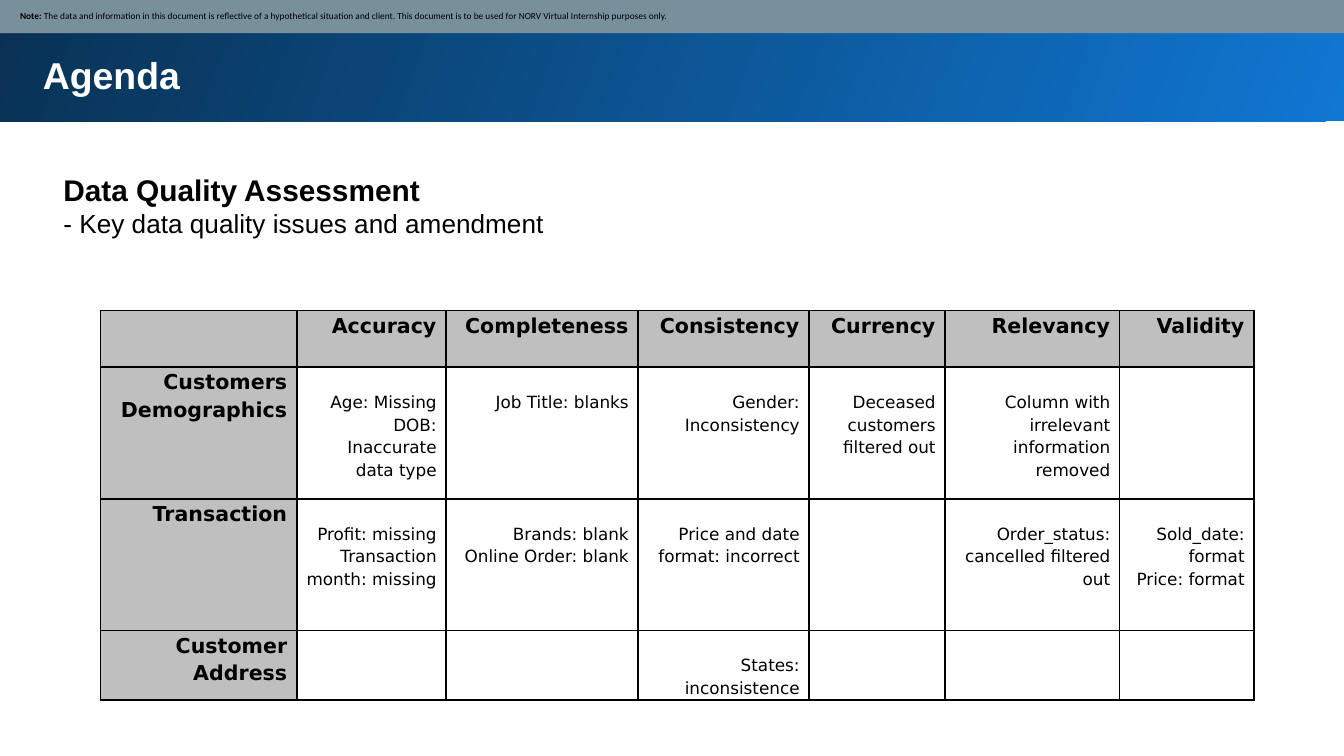
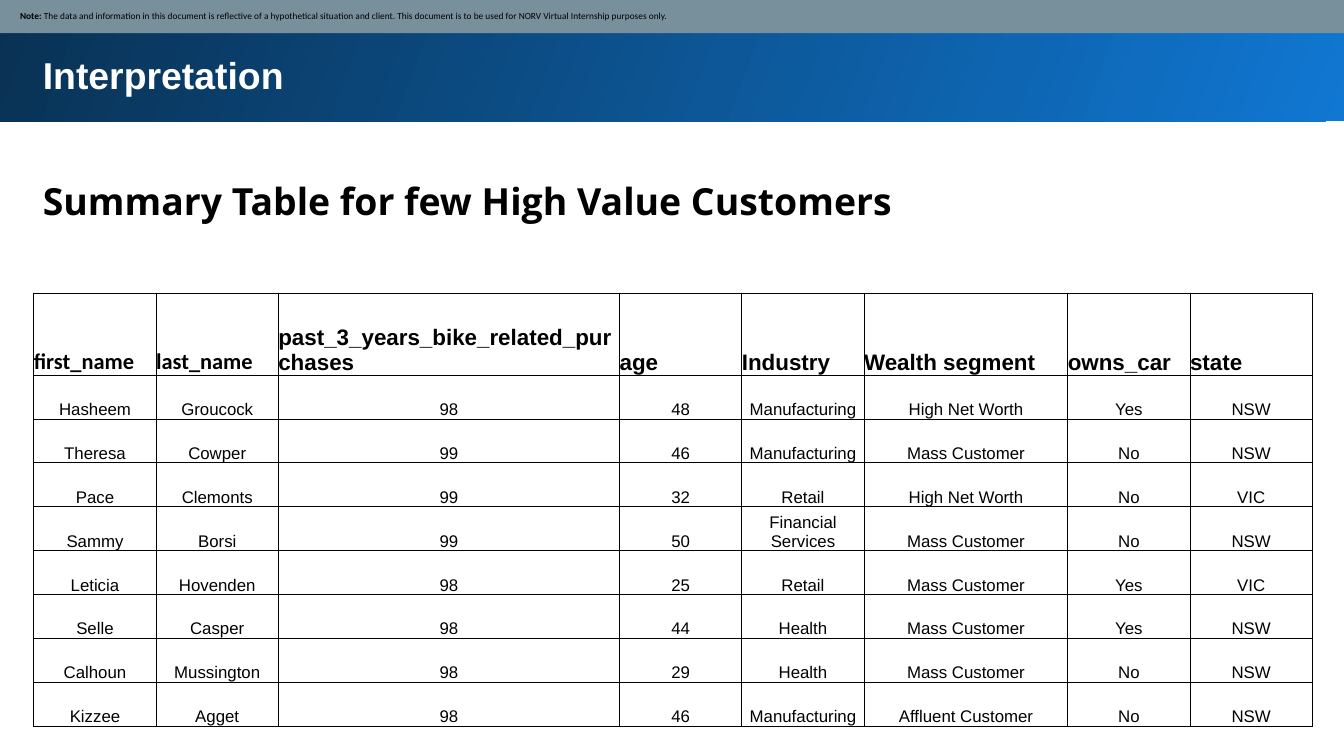
from lxml import etree
from pptx import Presentation
from pptx.dml.color import RGBColor
from pptx.enum.shapes import MSO_SHAPE
from pptx.enum.text import MSO_ANCHOR, MSO_AUTO_SIZE, PP_ALIGN
from pptx.oxml.ns import qn
from pptx.util import Cm, Pt

RECTANGLE = MSO_SHAPE.RECTANGLE
TOP, MIDDLE, BOTTOM = MSO_ANCHOR.TOP, MSO_ANCHOR.MIDDLE, MSO_ANCHOR.BOTTOM
LEFT, CENTER, RIGHT = PP_ALIGN.LEFT, PP_ALIGN.CENTER, PP_ALIGN.RIGHT
GROW = MSO_AUTO_SIZE.SHAPE_TO_FIT_TEXT
TITLE_ONLY = 5

COLORS = {
    "black": "000000",
    "white": "FFFFFF",
    "bright": "1077D2",
    "navy": "093153",
    "slate": "78909C",
    "header": "BFBFBF",
}

NOTE = [
    ("Note: ", True),
    ("The data and information in this document is reflective of a hypothetical "
     "situation and client. This document is to be used for NORV Virtual "
     "Internship purposes only.", False),
]

# One list of lines per cell
QUALITY_HEADER = ["", "Accuracy", "Completeness", "Consistency", "Currency",
                  "Relevancy", "Validity"]
QUALITY_ROWS = [
    ("Customers Demographics",
     ["Age: Missing", "DOB: Inaccurate data type"],
     ["Job Title: blanks"],
     ["Gender: Inconsistency"],
     ["Deceased customers filtered out"],
     ["Column with irrelevant information removed"],
     []),
    ("Transaction",
     ["Profit: missing", "Transaction month: missing"],
     ["Brands: blank", "Online Order: blank"],
     ["Price and date format: incorrect"],
     [],
     ["Order_status: cancelled filtered out"],
     ["Sold_date: format", "Price: format"]),
    ("Customer Address", [], [], ["States: inconsistence"], [], [], []),
]

CUSTOMER_HEADER = ["first_name", "last_name", "past_3_years_bike_related_purchases",
                   "age", "Industry", "Wealth segment", "owns_car", "state"]
CUSTOMERS = [
    ("Hasheem", "Groucock", "98", "48", "Manufacturing", "High Net Worth", "Yes", "NSW"),
    ("Theresa", "Cowper", "99", "46", "Manufacturing", "Mass Customer", "No", "NSW"),
    ("Pace", "Clemonts", "99", "32", "Retail", "High Net Worth", "No", "VIC"),
    ("Sammy", "Borsi", "99", "50", "Financial Services", "Mass Customer", "No", "NSW"),
    ("Leticia", "Hovenden", "98", "25", "Retail", "Mass Customer", "Yes", "VIC"),
    ("Selle", "Casper", "98", "44", "Health", "Mass Customer", "Yes", "NSW"),
    ("Calhoun", "Mussington", "98", "29", "Health", "Mass Customer", "No", "NSW"),
    ("Kizzee", "Agget", "98", "46", "Manufacturing", "Affluent Customer", "No", "NSW"),
]


def color(name):
    return RGBColor.from_string(COLORS[name])


def set_margins(target, left, top, right, bottom):
    target.margin_left, target.margin_top = Cm(left), Cm(top)
    target.margin_right, target.margin_bottom = Cm(right), Cm(bottom)


class SlideBuilder:
    def __init__(self, deck):
        self.deck = deck
        self.page = None

    def new_page(self, title, title_height):
        self.page = self.deck.slides.add_slide(self.deck.slide_layouts[TITLE_ONLY])
        heading = self.page.shapes.title
        # Title band, behind the title
        band = self.rectangle(-0.05, -0.05, 25.53, 2.34)
        band.fill.gradient()
        band.fill.gradient_angle = 160
        for stop, name in zip(band.fill.gradient_stops, ("bright", "navy")):
            stop.color.rgb = color(name)
        heading.element.addprevious(band.element)
        # Title
        heading.left, heading.top = Cm(0.56), Cm(0.74)
        heading.width, heading.height = Cm(23.8), Cm(title_height)
        self.frame(heading, 0.25)
        self.fill_text(heading.text_frame, [title], 20, bold=True, ink="white")
        # Note strip
        strip = self.rectangle(-0.03, -0.03, 25.48, 0.66)
        strip.fill.solid()
        strip.fill.fore_color.rgb = color("slate")
        self.frame(strip, 0.13, MIDDLE)
        strip.text_frame.margin_left = Cm(0.41)
        self.fill_text(strip.text_frame, [NOTE], 5, font="Calibri")

    def rectangle(self, left, top, width, height):
        shape = self.page.shapes.add_shape(
            RECTANGLE, Cm(left), Cm(top), Cm(width), Cm(height))
        shape.shadow.inherit = False
        shape.line.fill.background()
        return shape

    def frame(self, box, margin, anchor=TOP):
        frame = box.text_frame
        frame.word_wrap = True
        frame.vertical_anchor = anchor
        set_margins(frame, margin, margin, margin, margin)

    def text_box(self, left, top, width, height, margin):
        box = self.page.shapes.add_textbox(Cm(left), Cm(top), Cm(width), Cm(height))
        self.frame(box, margin)
        box.text_frame.auto_size = GROW
        return box.text_frame

    def fill_text(self, frame, lines, size, font="Arial", bold=False, ink="black",
                  align=LEFT, spacing=1.0):
        """Fill a frame; a line is a string or a list of (text, bold) spans."""
        for index, line in enumerate(lines):
            first = index == 0
            paragraph = frame.paragraphs[0] if first else frame.add_paragraph()
            paragraph.alignment = align
            paragraph.line_spacing = spacing
            paragraph.font.name = font
            paragraph.font.size = Pt(size)
            paragraph.font.color.rgb = color(ink)
            if isinstance(line, str):
                paragraph.font.bold = bold
                line = [(line, None)]
            for text, weight in line:
                span = paragraph.add_run()
                span.text = text
                span.font.bold = weight

    def table(self, left, top, widths, heights, border):
        graphic = self.page.shapes.add_table(
            len(heights), len(widths), Cm(left), Cm(top),
            Cm(sum(widths)), Cm(sum(heights)))
        table = graphic.table
        table.first_row = table.horz_banding = False
        for column, width in zip(table.columns, widths):
            column.width = Cm(width)
        for row, height in zip(table.rows, heights):
            row.height = Cm(height)
        for cell in table.iter_cells():
            self.borders(cell, border)
            cell.fill.background()
        return table

    def borders(self, cell, width):
        properties = cell._tc.get_or_add_tcPr()
        for index, side in enumerate(("lnL", "lnR", "lnT", "lnB")):
            line = etree.Element(qn(f"a:{side}"), w=str(Pt(width)))
            fill = etree.SubElement(line, qn("a:solidFill"))
            etree.SubElement(fill, qn("a:srgbClr"), val=COLORS["black"])
            properties.insert(index, line)


def quality_page(builder):
    builder.new_page("Agenda", 1.3)
    intro = builder.text_box(1.07, 3.12, 12.27, 1.55, 0.13)
    builder.fill_text(intro, ["Data Quality Assessment",
                              "- Key data quality issues and amendment"], 14)
    intro.paragraphs[0].font.size = Pt(16)
    intro.paragraphs[0].font.bold = True

    table = builder.table(1.9, 5.87, [3.71, 2.82, 3.63, 3.23, 2.57, 3.3, 2.54],
                          [1.07, 2.49, 2.49, 1.26], border=1)
    for r, row in enumerate([QUALITY_HEADER, *QUALITY_ROWS]):
        for c, content in enumerate(row):
            cell = table.cell(r, c)
            is_header = r == 0 or c == 0
            # Body text starts one line below the top of its row
            set_margins(cell, 0.18, 0 if is_header or not content else 0.43, 0.18, 0)
            if is_header:
                cell.fill.solid()
                cell.fill.fore_color.rgb = color("header")
                content = [content] if content else []
            builder.fill_text(cell.text_frame, content, 11 if is_header else 9,
                              font="DejaVu Sans", bold=is_header, align=RIGHT,
                              spacing=1.15)


def customer_page(builder):
    builder.new_page("Interpretation", 2.11)
    summary = builder.text_box(0.56, 3, 23.8, 1.42, 0.25)
    builder.fill_text(summary, ["Summary Table for few High Value Customers"], 20,
                      font="Open Sans", bold=True, spacing=1.15)

    narrow = 2.31
    table = builder.table(
        0.64, 5.54, [narrow, narrow, 6.45, narrow, narrow, 3.85, narrow, narrow],
        [1.55] + [0.83] * len(CUSTOMERS), border=0.5)
    for r, row in enumerate([CUSTOMER_HEADER, *CUSTOMERS]):
        for c, text in enumerate(row):
            cell = table.cell(r, c)
            cell.vertical_anchor = BOTTOM
            set_margins(cell, 0, 0, 0, 0)
            is_header = r == 0
            builder.fill_text(cell.text_frame, [text], 12 if is_header else 9,
                              font="Calibri" if is_header and c < 2 else "Arial",
                              bold=is_header, align=LEFT if is_header else CENTER)


def main():
    deck = Presentation()
    deck.slide_width, deck.slide_height = Cm(25.4), Cm(14.29)
    builder = SlideBuilder(deck)
    quality_page(builder)
    customer_page(builder)
    deck.save("out.pptx")


if __name__ == "__main__":
    main()
